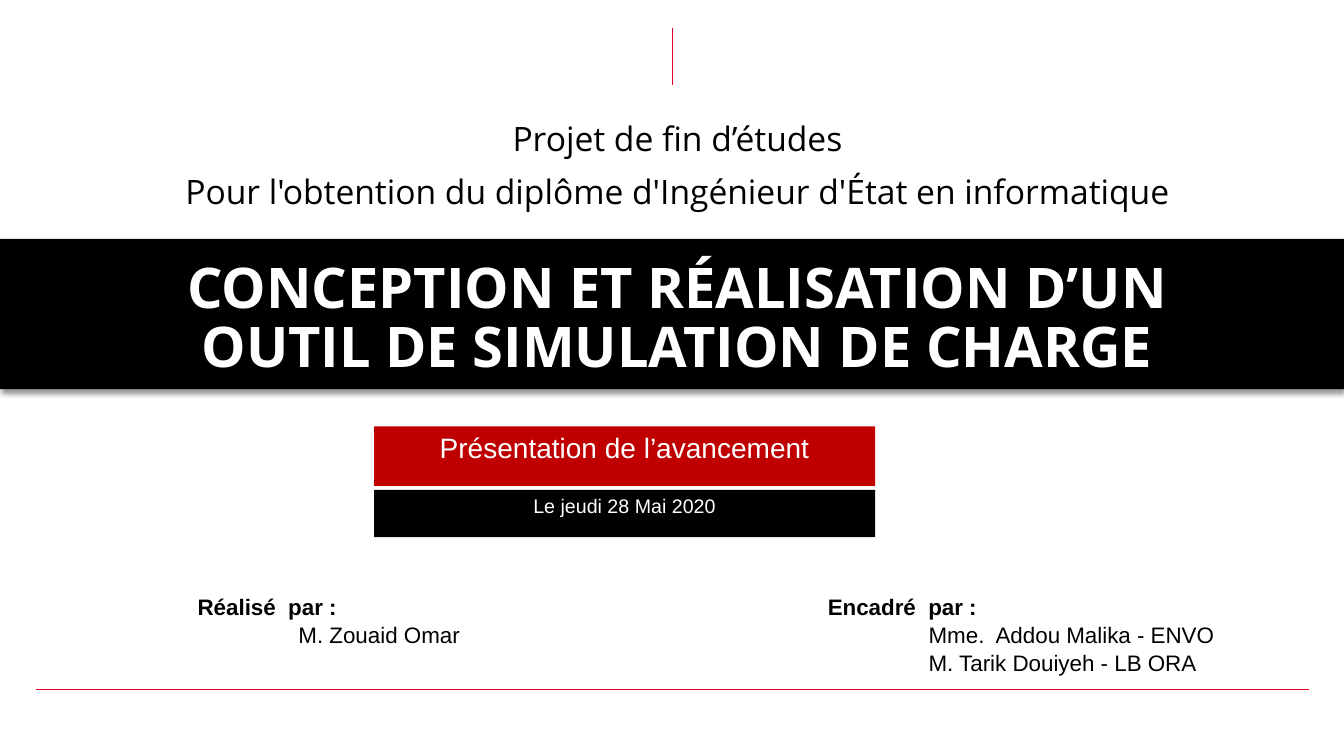
import pptx
import pptx.util
import pptx.dml.color
import pptx.enum.shapes
import pptx.enum.text
import pptx.oxml
import pptx.oxml.ns
import lxml.etree

Color = pptx.dml.color.RGBColor
BLACK = Color(0x00, 0x00, 0x00)
WHITE = Color(0xFF, 0xFF, 0xFF)
RED = Color(0xC0, 0x00, 0x00)
ROSE = Color(0xE6, 0x00, 0x28)

SCALE = 9144  # EMU in one px, 100 px to the inch
SANS = "Open Sans"
ARIAL = "Arial"
Align = pptx.enum.text.PP_ALIGN
Anchor = pptx.enum.text.MSO_ANCHOR

SHADE = (
    f'<a:effectLst {pptx.oxml.ns.nsdecls("a")}>'
    '<a:outerShdw blurRad="50800" dist="38100" dir="5400000" algn="t" rotWithShape="0">'
    '<a:srgbClr val="000000"><a:alpha val="40000"/></a:srgbClr>'
    '</a:outerShdw></a:effectLst>'
)


def px(*sizes):
    return [pptx.util.Emu(size * SCALE) for size in sizes]


class Deck:
    def __init__(self, width, height):
        self.show = pptx.Presentation()
        self.show.slide_width, self.show.slide_height = px(width, height)
        self.slide = self.show.slides.add_slide(self.show.slide_layouts[6])

    def line(self, start, end, weight):
        line = self.slide.shapes.add_connector(
            pptx.enum.shapes.MSO_CONNECTOR.STRAIGHT, *px(*start, *end))
        line.line.color.rgb = ROSE
        line.line.width = pptx.util.Pt(weight)
        lxml.etree.SubElement(
            line._element.spPr, pptx.oxml.ns.qn("a:effectLst"))

    def block(self, area, fill):
        block = self.slide.shapes.add_shape(
            pptx.enum.shapes.MSO_SHAPE.RECTANGLE, *px(*area))
        block.shadow.inherit = False
        block.fill.solid()
        block.fill.fore_color.rgb = fill
        block.line.fill.background()
        return block

    def band(self, area, fill):
        """Draw a block that casts a soft shadow downwards."""
        props = self.block(area, fill)._element.spPr
        props.remove(props.find(pptx.oxml.ns.qn("a:effectLst")))
        props.append(pptx.oxml.parse_xml(SHADE))

    def box(self, area):
        return self.slide.shapes.add_textbox(*px(*area))

    def label(self, shape, lines, size, color, font=ARIAL, bold=False,
              align=Align.CENTER, inset=(4, 4, 4, 4), anchor=Anchor.TOP,
              wrap=True, pitch=None, gap=0):
        """Fill a shape with paragraphs; gap is the space between them in points."""
        frame = shape.text_frame
        frame.word_wrap = wrap
        frame.vertical_anchor = anchor
        (frame.margin_left, frame.margin_top,
         frame.margin_right, frame.margin_bottom) = px(*inset)
        frame.text = "\n".join(lines)
        for rank, para in enumerate(frame.paragraphs):
            para.alignment = align
            para.line_spacing = pitch
            para.space_before = pptx.util.Pt(gap if rank else 0)
            for run in para.runs:
                run.font.size = pptx.util.Pt(size)
                run.font.name = font
                run.font.bold = bold
                run.font.color.rgb = color
        return frame

    def credit(self, area, head, names):
        """Set a bold heading with indented names below it."""
        frame = self.label(self.box(area), [head, *names], 16, BLACK,
                           align=Align.LEFT, pitch=1.05)
        first, *rest = frame.paragraphs
        first.runs[0].font.bold = True
        for para in rest:
            para._p.get_or_add_pPr().set("marL", str(100 * SCALE))


def main():
    deck = Deck(1333, 750)
    deck.line((667, 84), (667, 28), 1)
    deck.line((1298, 684), (36, 684), 0.5)

    deck.band((0, 237, 1333, 149), BLACK)
    deck.label(deck.box((74, 222, 1195, 162)),
               ["CONCEPTION ET RÉALISATION D’UN OUTIL DE SIMULATION DE CHARGE"],
               40, WHITE, SANS, bold=True, inset=(27, 13, 27, 8),
               anchor=Anchor.BOTTOM, pitch=0.88)
    deck.label(deck.block((172, 115, 1000, 109), WHITE),
               ["Projet de fin d’études",
                "Pour l'obtention du diplôme d'Ingénieur d'État en informatique"],
               24, BLACK, SANS, inset=(10, 2, 10, 5), gap=9)

    deck.label(deck.block((371, 423, 497, 59), RED),
               ["Présentation de l’avancement"], 20, WHITE, wrap=False)
    deck.label(deck.block((371, 486, 497, 47), BLACK),
               ["Le jeudi 28 Mai 2020"], 14, WHITE)

    deck.credit((192, 583, 281, 69), "Réalisé  par :", ["M. Zouaid Omar"])
    deck.credit((817, 583, 418, 101), "Encadré  par :",
                ["Mme.  Addou Malika - ENVO", "M. Tarik Douiyeh - LB ORA"])
    deck.show.save("out.pptx")


if __name__ == "__main__":
    main()
